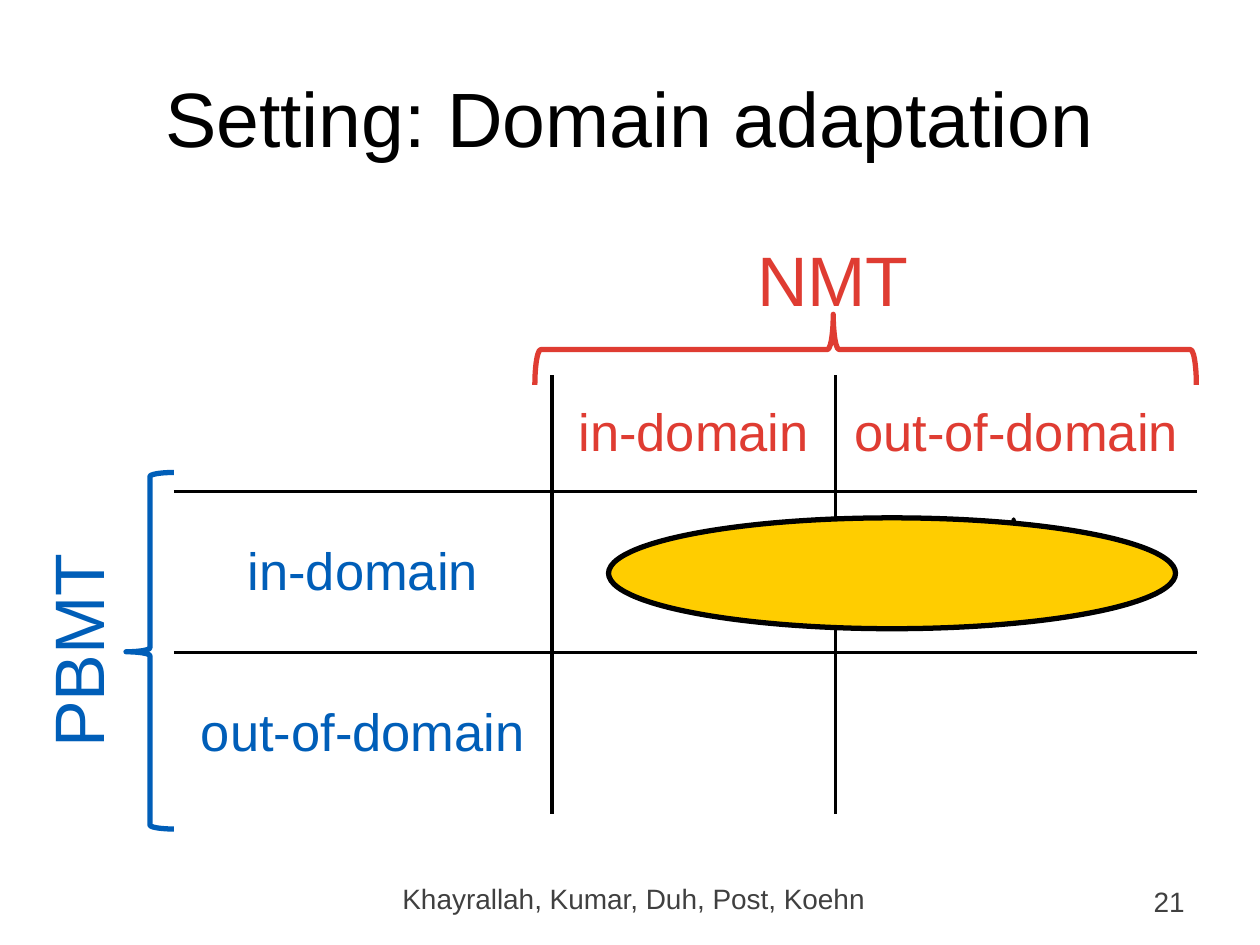
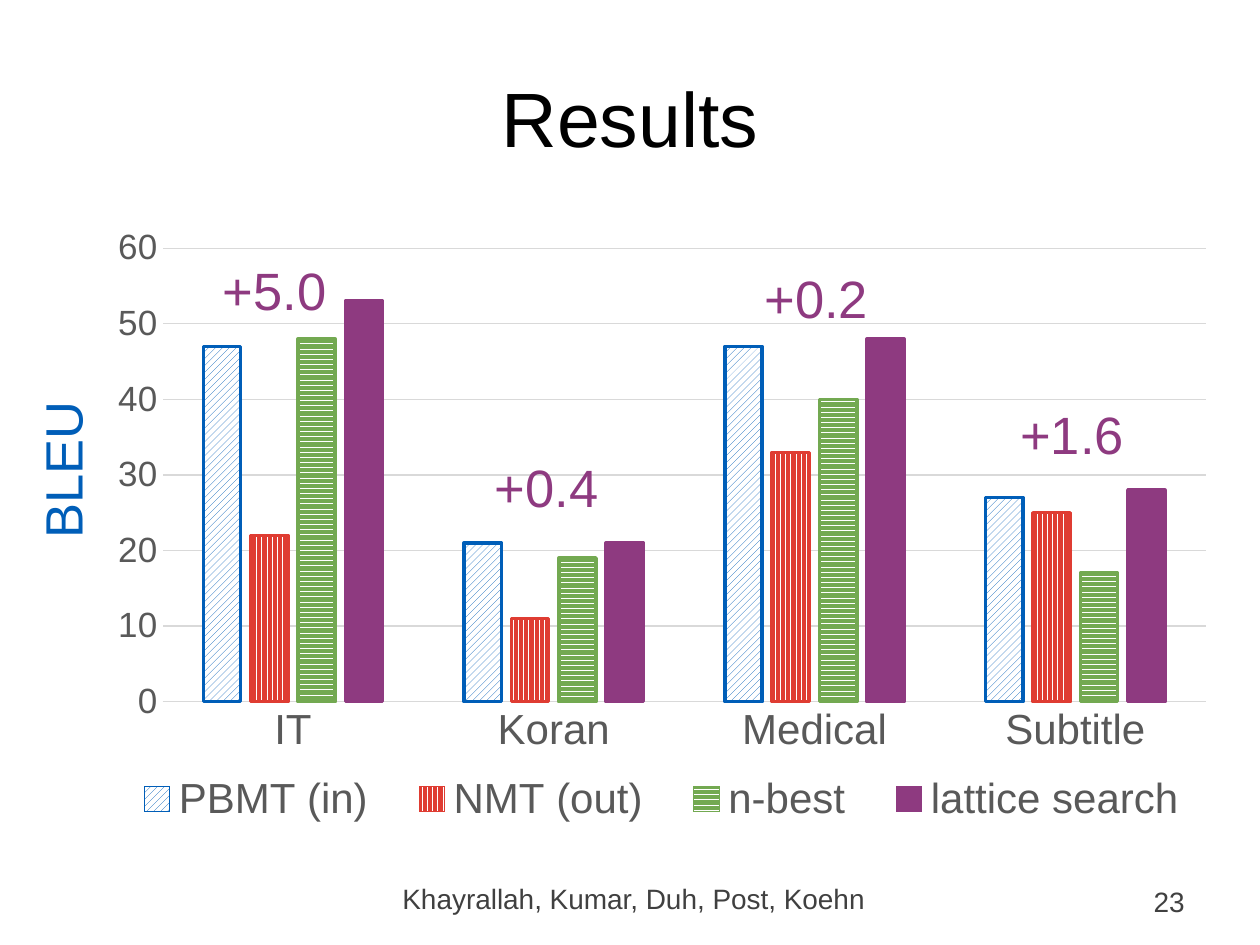
import dataclasses
import typing

import lxml.etree
import pptx
import pptx.chart.data
import pptx.dml.color
import pptx.enum.chart
import pptx.enum.dml
import pptx.enum.shapes
import pptx.enum.text
import pptx.oxml.ns
import pptx.util

Inches = pptx.util.Inches
Pt = pptx.util.Pt
RGBColor = pptx.dml.color.RGBColor
ALIGN = pptx.enum.text.PP_ALIGN
ANCHOR = pptx.enum.text.MSO_ANCHOR
PATTERN = pptx.enum.dml.MSO_PATTERN
SHAPE = pptx.enum.shapes.MSO_SHAPE
qn = pptx.oxml.ns.qn

FONT = "Arial"
BLACK = RGBColor(0x00, 0x00, 0x00)
WHITE = RGBColor(0xFF, 0xFF, 0xFF)
BLUE = RGBColor(0x00, 0x5E, 0xB8)
RED = RGBColor(0xDF, 0x3C, 0x32)
GREEN = RGBColor(0x73, 0xA9, 0x51)
PURPLE = RGBColor(0x8E, 0x3A, 0x80)
GOLD = RGBColor(0xFF, 0xCD, 0x00)
FOOTER_GRAY = RGBColor(0x40, 0x40, 0x40)
AXIS_GRAY = RGBColor(0x59, 0x59, 0x59)
GRID_GRAY = RGBColor(0xD9, 0xD9, 0xD9)

AUTHORS = "Khayrallah, Kumar, Duh, Post, Koehn"
COLUMN_WIDTHS = (3, 2.25, 2.87)
ROW_HEIGHTS = (0.92, 1.28, 1.28)
DOMAINS = ("in-domain", "out-of-domain")
CATEGORIES = ("IT", "Koran", "Medical", "Subtitle")


@dataclasses.dataclass(frozen=True)
class Box:
    left: float
    top: float
    width: float
    height: float

    def emu(self) -> tuple:
        return tuple(Inches(v) for v in dataclasses.astuple(self))


@dataclasses.dataclass(frozen=True)
class Label:
    text: str
    box: Box
    size: float
    color: RGBColor
    align: typing.Any = ALIGN.LEFT
    anchor: typing.Any = ANCHOR.TOP
    rotation: float = 0
    wrap: bool = True


@dataclasses.dataclass(frozen=True)
class Figure:
    kind: typing.Any
    box: Box
    line: RGBColor
    weight: float
    fill: typing.Optional[RGBColor] = None
    rotation: float = 0
    adjustments: tuple = ()


@dataclasses.dataclass(frozen=True)
class System:
    name: str
    scores: tuple
    color: RGBColor
    pattern: typing.Any = None


CHART_BOX = Box(0.75, 1.72, 9, 4.95)
PLOT_BOX = Box(1.29, 1.97, 8.28, 3.6)
LEGEND_BOX = Box(0.85, 6.09, 8.8, 0.5)

SETTING_LABELS = (
    Label("PBMT", Box(-0.35, 4.78, 1.92, 0.77), 40, BLUE, ALIGN.CENTER, rotation=270),
    Label("NMT", Box(5.67, 1.83, 1.88, 0.77), 40, RED, ALIGN.CENTER),
)
SETTING_FIGURES = (
    Figure(SHAPE.LEFT_BRACE, Box(1, 3.75, 0.38, 2.83), BLUE, 3, adjustments=(0.083, 0.503)),
    Figure(SHAPE.LEFT_BRACE, Box(6.59, 0.15, 0.56, 5.25), RED, 3,
           rotation=90, adjustments=(0.083, 0.549)),
    Figure(SHAPE.STAR_5_POINT, Box(7.67, 4.12, 0.75, 0.67), BLACK, 2, GOLD),
    Figure(SHAPE.OVAL, Box(4.83, 4.11, 4.5, 0.88), BLACK, 3, GOLD),
)
SYSTEMS = (
    System("PBMT (in)", (47, 21, 47, 27), BLUE, PATTERN.WIDE_UPWARD_DIAGONAL),
    System("NMT (out)", (22, 11, 33, 25), RED, PATTERN.DARK_VERTICAL),
    System("n-best", (48, 19, 40, 17), GREEN, PATTERN.DARK_HORIZONTAL),
    System("lattice search", (53, 21, 48, 28), PURPLE),
)
GAINS = (("+5.0", 1.67, 2), ("+0.4", 3.83, 3.56), ("+0.2", 5.97, 2.06), ("+1.6", 8, 3.14))


def style_font(font, size: float, color: RGBColor) -> None:
    font.name = FONT
    font.size = Pt(size)
    font.color.rgb = color


def write(tf, text: str, size: float, color: RGBColor, align) -> None:
    p = tf.paragraphs[0]
    p.alignment = align
    r = p.add_run()
    r.text = text
    style_font(r.font, size, color)


def add_label(s, label: Label) -> None:
    sp = s.shapes.add_textbox(*label.box.emu())
    sp.rotation = label.rotation
    tf = sp.text_frame
    tf.word_wrap = label.wrap
    tf.vertical_anchor = label.anchor
    write(tf, label.text, label.size, label.color, label.align)


def add_figure(s, figure: Figure) -> None:
    sp = s.shapes.add_shape(figure.kind, *figure.box.emu())
    sp.shadow.inherit = False
    sp.rotation = figure.rotation
    for i, value in enumerate(figure.adjustments):
        sp.adjustments[i] = value
    if figure.fill is None:
        sp.fill.background()
    else:
        sp.fill.solid()
        sp.fill.fore_color.rgb = figure.fill
    sp.line.color.rgb = figure.line
    sp.line.width = Pt(figure.weight)


def add_slide(prs, title: str, number: int):
    s = prs.slides.add_slide(prs.slide_layouts[5])
    sp = s.shapes.title
    sp.left, sp.top, sp.width, sp.height = Box(0.5, 0.3, 9, 1.25).emu()
    sp.text_frame.vertical_anchor = ANCHOR.MIDDLE
    write(sp.text_frame, title, 44, BLACK, ALIGN.CENTER)
    add_label(s, Label(str(number), Box(7.17, 6.95, 2.33, 0.4), 16, FOOTER_GRAY,
                       ALIGN.RIGHT, ANCHOR.MIDDLE))
    add_label(s, Label(AUTHORS, Box(2.81, 6.95, 4.44, 0.4), 16, FOOTER_GRAY, ALIGN.CENTER))
    return s


def set_border(cell, side: str, visible: bool) -> None:
    tc_pr = cell._tc.get_or_add_tcPr()
    ln = lxml.etree.SubElement(tc_pr, qn(f"a:ln{side}"), w=str(Pt(2.25)))
    if visible:
        fill = lxml.etree.SubElement(ln, qn("a:solidFill"))
        lxml.etree.SubElement(fill, qn("a:srgbClr"), val=str(BLACK))
    else:
        lxml.etree.SubElement(ln, qn("a:noFill"))


def add_domain_table(s) -> None:
    box = Box(1.38, 2.98, sum(COLUMN_WIDTHS), sum(ROW_HEIGHTS))
    table = s.shapes.add_table(len(ROW_HEIGHTS), len(COLUMN_WIDTHS), *box.emu()).table
    table.first_row = table.horz_banding = False
    for column, width in zip(table.columns, COLUMN_WIDTHS):
        column.width = Inches(width)
    for row, height in zip(table.rows, ROW_HEIGHTS):
        row.height = Inches(height)
    last_row, last_col = len(ROW_HEIGHTS) - 1, len(COLUMN_WIDTHS) - 1
    for i in range(last_row + 1):
        for j in range(last_col + 1):
            cell = table.cell(i, j)
            inner = {"L": j > 0, "R": j < last_col, "T": i > 0, "B": i < last_row}
            for side, visible in inner.items():
                set_border(cell, side, visible)
            cell.fill.background()
            cell.vertical_anchor = ANCHOR.MIDDLE
            if (i == 0) != (j == 0):
                write(cell.text_frame, DOMAINS[max(i, j) - 1], 30,
                      RED if i == 0 else BLUE, ALIGN.CENTER)


def place_in_chart(element, box: Box, index: int, inner: bool) -> None:
    for old in element.findall(qn("c:layout")):
        element.remove(old)
    layout = lxml.etree.SubElement(element, qn("c:layout"))
    element.insert(index, layout)
    manual = lxml.etree.SubElement(layout, qn("c:manualLayout"))
    values = {"layoutTarget": "inner"} if inner else {}
    values |= {
        "xMode": "edge",
        "yMode": "edge",
        "x": (box.left - CHART_BOX.left) / CHART_BOX.width,
        "y": (box.top - CHART_BOX.top) / CHART_BOX.height,
        "w": box.width / CHART_BOX.width,
        "h": box.height / CHART_BOX.height,
    }
    for tag, value in values.items():
        lxml.etree.SubElement(manual, qn(f"c:{tag}"), val=str(value))


def add_results_chart(s) -> None:
    data = pptx.chart.data.CategoryChartData()
    data.categories = CATEGORIES
    for system in SYSTEMS:
        data.add_series(system.name, system.scores)
    chart = s.shapes.add_chart(pptx.enum.chart.XL_CHART_TYPE.COLUMN_CLUSTERED,
                               *CHART_BOX.emu(), data).chart
    style_font(chart.font, 10, BLACK)
    chart.has_title = False
    chart.has_legend = True
    chart.legend.position = pptx.enum.chart.XL_LEGEND_POSITION.BOTTOM
    chart.legend.include_in_layout = False
    style_font(chart.legend.font, 24, AXIS_GRAY)
    root = chart._chartSpace
    place_in_chart(root.find(".//" + qn("c:plotArea")), PLOT_BOX, 0, True)
    place_in_chart(root.find(".//" + qn("c:legend")), LEGEND_BOX, 1, False)

    for axis, size in ((chart.category_axis, 24), (chart.value_axis, 20)):
        axis.major_tick_mark = axis.minor_tick_mark = pptx.enum.chart.XL_TICK_MARK.NONE
        style_font(axis.tick_labels.font, size, AXIS_GRAY)
    value_axis = chart.value_axis
    value_axis.minimum_scale, value_axis.maximum_scale, value_axis.major_unit = 0, 60, 10
    value_axis.format.line.fill.background()
    for line in (chart.category_axis.format.line, value_axis.major_gridlines.format.line):
        line.color.rgb = GRID_GRAY
        line.width = Pt(0.75)

    plot = chart.plots[0]
    plot.gap_width, plot.overlap = 219, -27
    plot.vary_by_categories = False
    for series, system in zip(plot.series, SYSTEMS):
        fill = series.format.fill
        if system.pattern is None:
            fill.solid()
        else:
            fill.patterned()
            fill.pattern = system.pattern
            fill.back_color.rgb = WHITE
        fill.fore_color.rgb = system.color
        series.format.line.color.rgb = system.color
        series.format.line.width = Pt(2)


def build_setting(prs) -> None:
    s = add_slide(prs, "Setting: Domain adaptation", 21)
    add_domain_table(s)
    for label in SETTING_LABELS:
        add_label(s, label)
    for figure in SETTING_FIGURES:
        add_figure(s, figure)


def build_results(prs) -> None:
    s = add_slide(prs, "Results", 23)
    add_results_chart(s)
    for gain, left, top in GAINS:
        add_label(s, Label(gain, Box(left, top, 1.03, 0.61), 30, PURPLE, wrap=False))
    add_label(s, Label("BLEU", Box(-0.23, 3.34, 1.45, 0.61), 30, BLUE, rotation=270))


def main() -> None:
    prs = pptx.Presentation()
    prs.slide_width, prs.slide_height = Inches(10), Inches(7.5)
    build_setting(prs)
    build_results(prs)
    prs.save("out.pptx")


if __name__ == "__main__":
    main()
